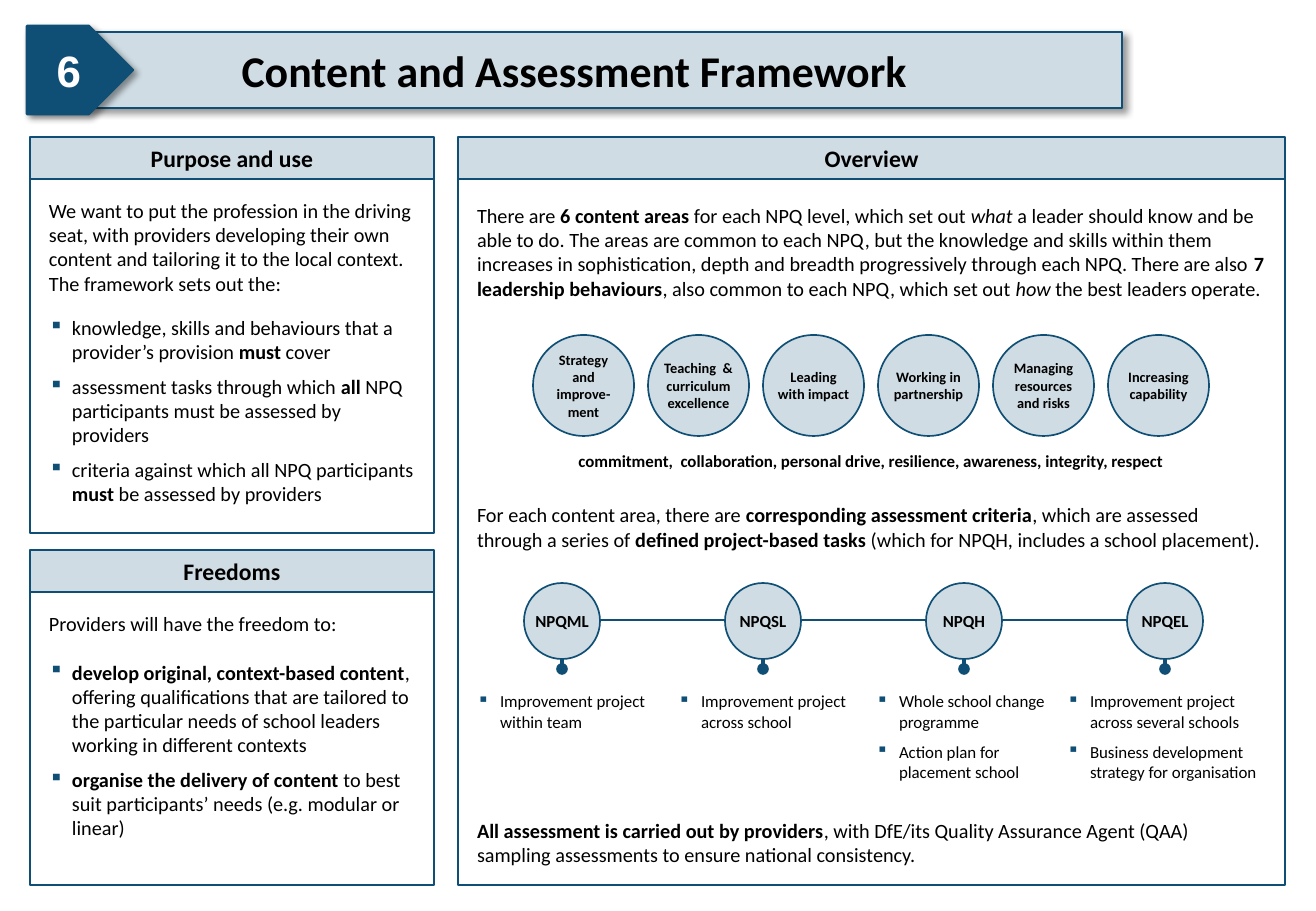
from lxml.etree import SubElement
from pptx import Presentation
from pptx.dml.color import RGBColor
from pptx.enum.shapes import MSO_CONNECTOR, MSO_SHAPE
from pptx.enum.text import MSO_ANCHOR, PP_ALIGN
from pptx.oxml import parse_xml
from pptx.oxml.ns import nsdecls, qn
from pptx.util import Pt

PX = 914400 / 121.5
NAVY, PALE, WHITE, BLACK = "104F75", "CFDCE3", "FFFFFF", "000000"
rgb = RGBColor.from_string
RECT, OVAL = MSO_SHAPE.RECTANGLE, MSO_SHAPE.OVAL

prs = Presentation()
prs.slide_width, prs.slide_height = round(1316 * PX), round(911 * PX)
s = prs.slides.add_slide(prs.slide_layouts[6])


def add_box(kind, box, paras=(), size=12, fill=PALE, line=1, margins=(12, 6),
            bold=False, centred=True, color=BLACK, font="Calibri"):
    box = [round(v * PX) for v in box]
    if kind is None:
        sp = s.shapes.add_textbox(*box)
    else:
        sp = s.shapes.add_shape(kind, *box)
        sp.shadow.inherit = False
        sp.fill.solid()
        sp.fill.fore_color.rgb = rgb(fill)
        sp.line.color.rgb = rgb(NAVY)
        sp.line.width = Pt(line)
    tf = sp.text_frame
    mx, my = (round(m * PX) for m in margins)
    frame = {"word_wrap": True, "margin_left": mx, "margin_right": mx,
             "margin_top": my, "margin_bottom": my,
             "vertical_anchor": MSO_ANCHOR.MIDDLE if centred and kind else MSO_ANCHOR.TOP}
    for name, value in frame.items():
        setattr(tf, name, value)
    for i, (text, bullet, before, after) in enumerate(paras):
        p = tf.add_paragraph() if i else tf.paragraphs[0]
        layout = {"alignment": PP_ALIGN.CENTER if centred else PP_ALIGN.LEFT,
                  "space_before": Pt(before), "space_after": Pt(after)}
        for name, value in layout.items():
            setattr(p, name, value)
        if bullet:
            pPr = p._p.get_or_add_pPr()
            pPr.set("marL", str(round(23 * PX)))
            pPr.set("indent", str(round(-23 * PX)))
            SubElement(SubElement(pPr, qn("a:buClr")), qn("a:srgbClr")).set("val", NAVY)
            SubElement(pPr, qn("a:buChar")).set("char", "▪")
        for j, part in enumerate(text.split("*")):
            for k, piece in enumerate(part.split("_")):
                if piece:
                    r = p.add_run()
                    r.text = piece
                    style = {"name": font, "size": Pt(size),
                             "bold": bold or j % 2 == 1, "italic": k % 2 == 1}
                    for name, value in style.items():
                        setattr(r.font, name, value)
                    r.font.color.rgb = rgb(color)
    return sp


def add_line(x1, y1, x2, y2, width):
    ln = s.shapes.add_connector(MSO_CONNECTOR.STRAIGHT,
                                *(round(v * PX) for v in (x1, y1, x2, y2)))
    ln.line.color.rgb = rgb(NAVY)
    ln.line.width = Pt(width)
    SubElement(ln._element.spPr, qn("a:effectLst"))


overview = [
    ("There are *6 content areas* for each NPQ level, which set out _what_ a leader should know "
     "and be able to do. The areas are common to each NPQ, but the knowledge and skills within "
     "them increases in sophistication, depth and breadth progressively through each NPQ. There "
     "are also *7 leadership behaviours*, also common to each NPQ, which set out _how_ the best "
     "leaders operate.", False, 0, 0),
    ("For each content area, there are *corresponding assessment criteria*, which are assessed "
     "through a series of *defined project-based tasks* (which for NPQH, includes a school "
     "placement).", False, 120, 0),
    ("*All assessment is carried out by providers*, with DfE/its Quality Assurance Agent (QAA) "
     "sampling assessments to ensure national consistency.", False, 158, 0),
]
purpose = [
    ("We want to put the profession in the driving seat, with providers developing their own "
     "content and tailoring it to the local context. The framework sets out the:", False, 0, 6),
    ("knowledge, skills and behaviours that a provider’s provision *must* cover", True, 6, 6),
    ("assessment tasks through which *all* NPQ participants must be assessed by providers",
     True, 0, 6),
    ("criteria against which all NPQ participants *must* be assessed by providers", True, 0, 6),
]
freedoms = [
    ("Providers will have the freedom to:", False, 0, 0),
    ("*develop original, context-based content*, offering qualifications that are tailored to "
     "the particular needs of school leaders working in different contexts", True, 14.5, 6),
    ("*organise the delivery of content* to best suit participants’ needs (e.g. modular or "
     "linear)", True, 0, 6),
]
panels = [
    ("Overview", 458, 137, 827, 706, 24, overview),
    ("Purpose and use", 30, 137, 404, 354, 19, purpose),
    ("Freedoms", 30, 550, 404, 293, 19, freedoms),
]
for heading, x, y, w, h, inset, paras in panels:
    add_box(RECT, (x, y + 42, w, h), paras, fill=WHITE, line=1.5,
            margins=(19, inset), centred=False)
    add_box(RECT, (x, y, w, 42), [(heading, False, 0, 0)], 14, line=1.5, bold=True)

areas = ["Strategy and improve-ment", "Teaching  & curriculum excellence", "Leading with impact",
         "Working in partnership", "Managing resources and risks", "Increasing capability"]
for i, area in enumerate(areas):
    add_box(OVAL, (533 + 115 * i, 335, 101, 101), [(area, False, 0, 0)], 8.5,
            margins=(0, 0), bold=True)
add_box(None, (475, 445, 791, 33),
        [("commitment,  collaboration, personal drive, resilience, awareness, integrity, respect",
          False, 0, 0)], 10, bold=True)

levels = [
    ("NPQML", 465, 200, ["Improvement project within team"]),
    ("NPQSL", 666, 196, ["Improvement project across school"]),
    ("NPQH", 864, 196, ["Whole school change programme", "Action plan for placement school"]),
    ("NPQEL", 1055, 222, ["Improvement project across several schools",
                          "Business development strategy for organisation"]),
]
add_line(553, 620, 1153, 620, 1.5)
for i, (level, x, w, tasks) in enumerate(levels):
    centre = 562 + 201 * i
    add_line(centre, 615, centre, 672, 2.25)
    add_box(OVAL, (centre - 38, 583, 76, 76), [(level, False, 0, 0)], 10,
            margins=(0, 0), bold=True)
    add_box(OVAL, (centre - 5, 664, 10, 10), fill=NAVY)
    add_box(None, (x, 685, w, 54 * len(tasks)), [(t, True, 0, 6) for t in tasks], 10,
            centred=False)

title = add_box(RECT, (27, 32, 1095, 76), [("Content and Assessment Framework", False, 0, 0)],
                26, line=1.5, bold=True)
badge = add_box(MSO_SHAPE.PENTAGON, (27, 26, 106, 88), [("6", False, 0, 0)], 26, fill=NAVY,
                line=1.5, bold=True, color=WHITE, font="Arial")
for sp in (title, badge):
    effects = sp._element.spPr.find(qn("a:effectLst"))
    effects.append(parse_xml(
        f'<a:outerShdw {nsdecls("a")} blurRad="{Pt(4)}" dist="{Pt(3)}" dir="2700000" '
        f'algn="tl" rotWithShape="0"><a:srgbClr val="{BLACK}"><a:alpha val="40000"/>'
        '</a:srgbClr></a:outerShdw>'))

prs.save("out.pptx")
